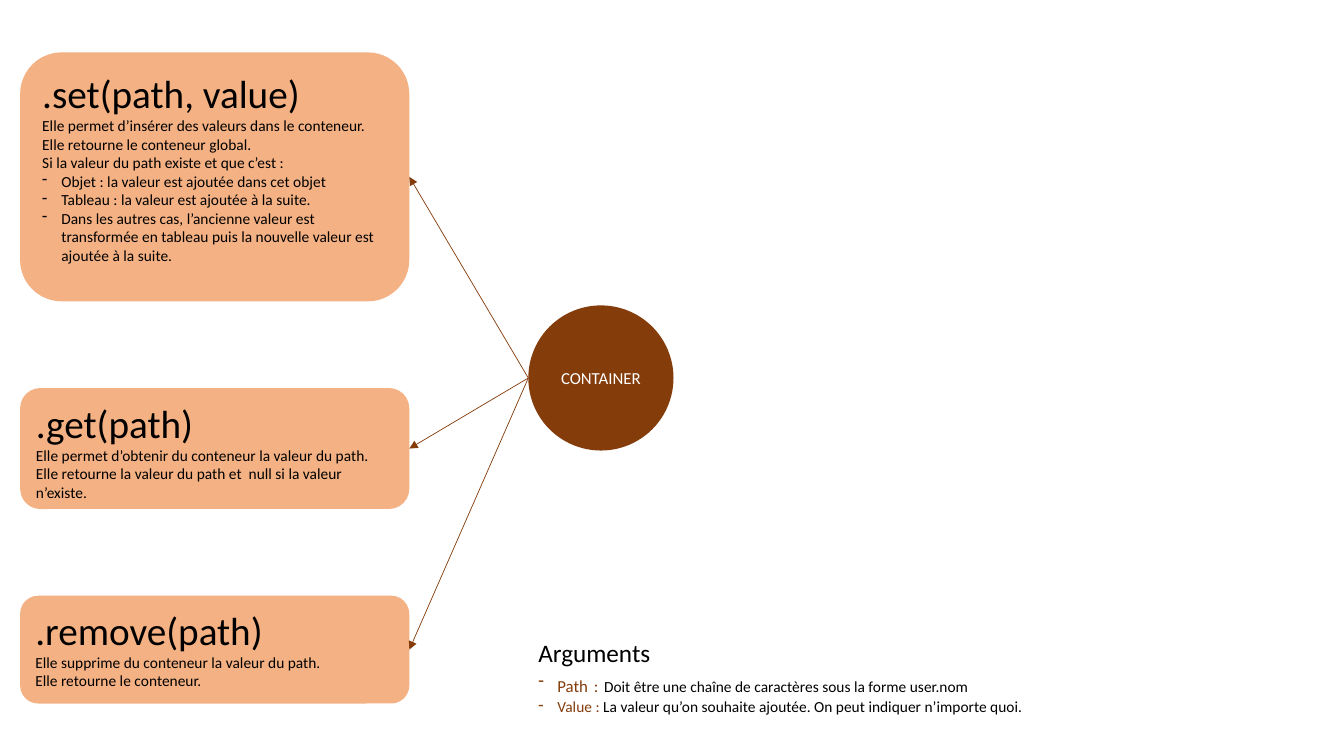
from lxml import etree
from pptx import Presentation
from pptx import util as u
from pptx.dml.color import RGBColor
from pptx.enum import shapes, text
from pptx.oxml.ns import qn

HUES = {"brown": "843C0B", "peach": "F4B183", "ink": "000000", "white": "FFFFFF"}
FONT = "Calibri"
LEFT, WIDE = 0.2, 3.86
HUB = (5.24, 3.03, 1.44, 1.44)
CARDS = [
    (0.52, 2.47, ".set(path, value)",
     ["Elle permet d’insérer des valeurs dans le conteneur.",
      "Elle retourne le conteneur global.",
      "Si la valeur du path existe et que c’est :"],
     ["Objet : la valeur est ajoutée dans cet objet",
      "Tableau : la valeur est ajoutée à la suite.",
      "Dans les autres cas, l’ancienne valeur est transformée en tableau "
      "puis la nouvelle valeur est ajoutée à la suite."]),
    (3.85, 1.2, ".get(path)",
     ["Elle permet d’obtenir du conteneur la valeur du path.",
      "Elle retourne la valeur du path et  null si la valeur n’existe."], []),
    (5.91, 1.07, ".remove(path)",
     ["Elle supprime du conteneur la valeur du path.",
      "Elle retourne le conteneur."], []),
]
ARGS = [
    [("Path", 12, "brown"), (" ", 18, "brown"), (":", 12, "brown"), (" ", 18, "brown"),
     ("Doit être une chaîne de caractères sous la forme user.nom", 11, "ink")],
    [("Value : ", 11, "brown"),
     ("La valeur qu’on souhaite ajoutée. On peut indiquer n’importe quoi.", 11, "ink")],
]


def inch(box):
    """Turn a box given in inches into lengths."""
    return [u.Inches(n) for n in box]


def color(name):
    """Look up a named colour."""
    return RGBColor.from_string(HUES[name])


def write(frame, runs, size=11, hue="ink", align="LEFT", dash=False):
    """Add a paragraph made of a string or of (text, size, colour) runs."""
    first = frame.paragraphs[0]
    para = frame.add_paragraph() if first.runs else first
    para.alignment = text.PP_ALIGN[align]
    if dash:
        props = para._p.get_or_add_pPr()
        props.set("marL", str(u.Inches(0.19)))
        props.set("indent", str(-u.Inches(0.19)))
        etree.SubElement(props, qn("a:buFontTx"))
        etree.SubElement(props, qn("a:buChar")).set("char", "-")
    for words, pts, tint in [(runs, size, hue)] if isinstance(runs, str) else runs:
        run = para.add_run()
        run.text = words
        run.font.name, run.font.size = FONT, u.Pt(pts)
        run.font.color.rgb = color(tint)


def block(slide, kind, box, hue, anchor):
    """Draw a flat filled shape."""
    shape = slide.shapes.add_shape(shapes.MSO_SHAPE[kind], *inch(box))
    shape.shadow.inherit = False
    shape.fill.solid()
    shape.fill.fore_color.rgb = color(hue)
    shape.line.fill.background()
    shape.text_frame.word_wrap = True
    shape.text_frame.vertical_anchor = text.MSO_ANCHOR[anchor]
    return shape


def card(slide, box, title, lines, items):
    """Draw one method card."""
    shape = block(slide, "ROUNDED_RECTANGLE", box, "peach", "TOP")
    write(shape.text_frame, title, size=28)
    for line in lines:
        write(shape.text_frame, line)
    for item in items:
        write(shape.text_frame, item, dash=True)
    return shape


def arrow(slide, box, goal):
    """Draw an arrow from the left of a box to the right side of a card."""
    x, y, _, high = box
    start = inch((x, y + high / 2))
    link = slide.shapes.add_connector(shapes.MSO_CONNECTOR.STRAIGHT, *start, *start)
    link.end_connect(goal, 3)
    link.line.color.rgb = color("brown")
    link.line.width = u.Pt(0.5)
    etree.SubElement(link.line._get_or_add_ln(), qn("a:tailEnd")).set("type", "triangle")
    etree.SubElement(link._element.spPr, qn("a:effectLst"))


def legend(slide, box):
    """Write the list of arguments."""
    frame = slide.shapes.add_textbox(*inch(box)).text_frame
    frame.word_wrap = False
    frame.auto_size = text.MSO_AUTO_SIZE.SHAPE_TO_FIT_TEXT
    write(frame, "Arguments", size=18)
    for runs in ARGS:
        write(frame, runs, dash=True)


def main():
    """Build and save the slide."""
    deck = Presentation()
    deck.slide_width, deck.slide_height = inch((13.33, 7.5))
    slide = deck.slides.add_slide(deck.slide_layouts[6])
    hub = block(slide, "OVAL", HUB, "brown", "MIDDLE")
    write(hub.text_frame, "CONTAINER", size=12, hue="white", align="CENTER")
    for top, high, *words in CARDS:
        arrow(slide, HUB, card(slide, (LEFT, top, WIDE, high), *words))
    legend(slide, (HUB[0], 6.27, 5.05, 0.89))
    deck.save("out.pptx")


if __name__ == "__main__":
    main()
